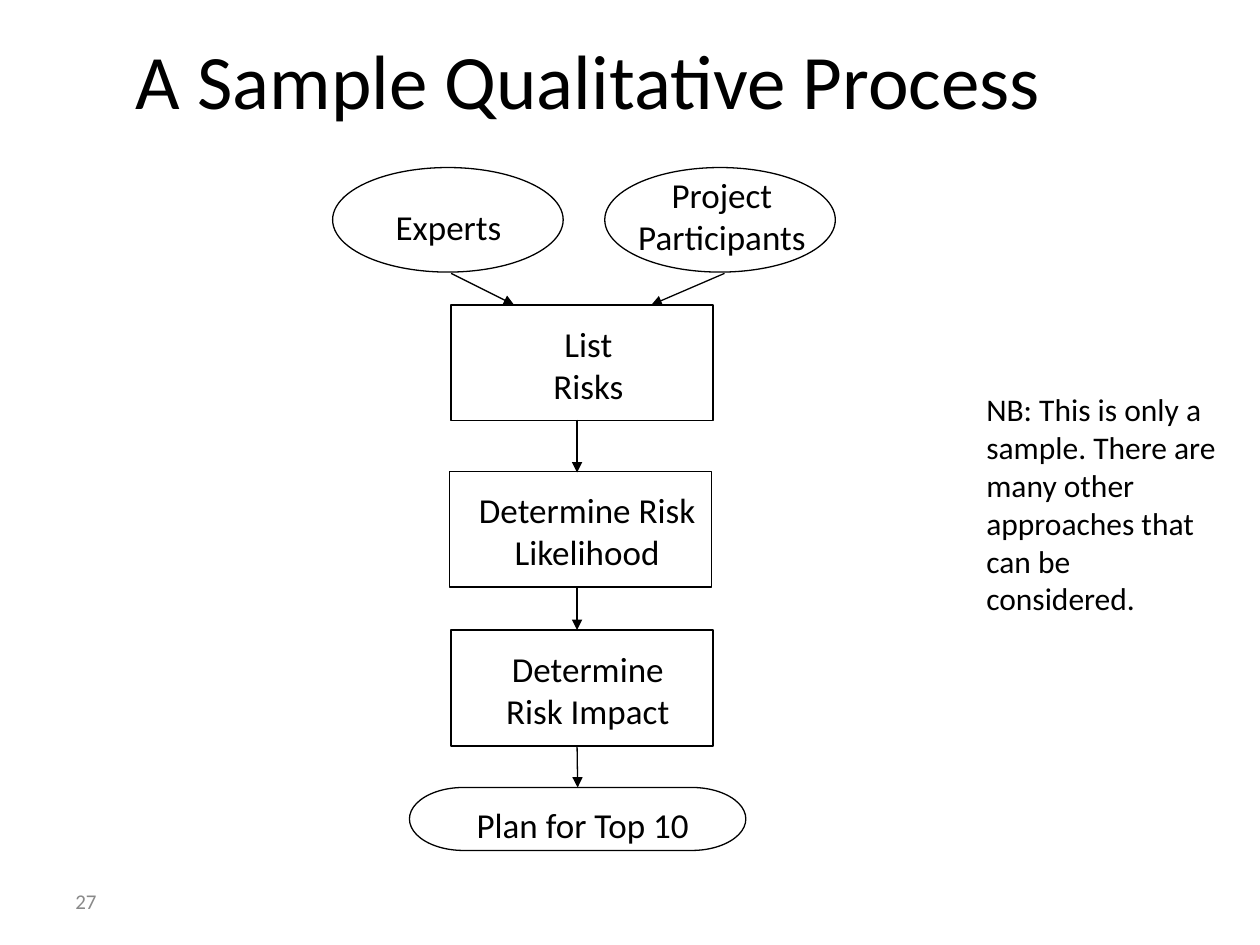
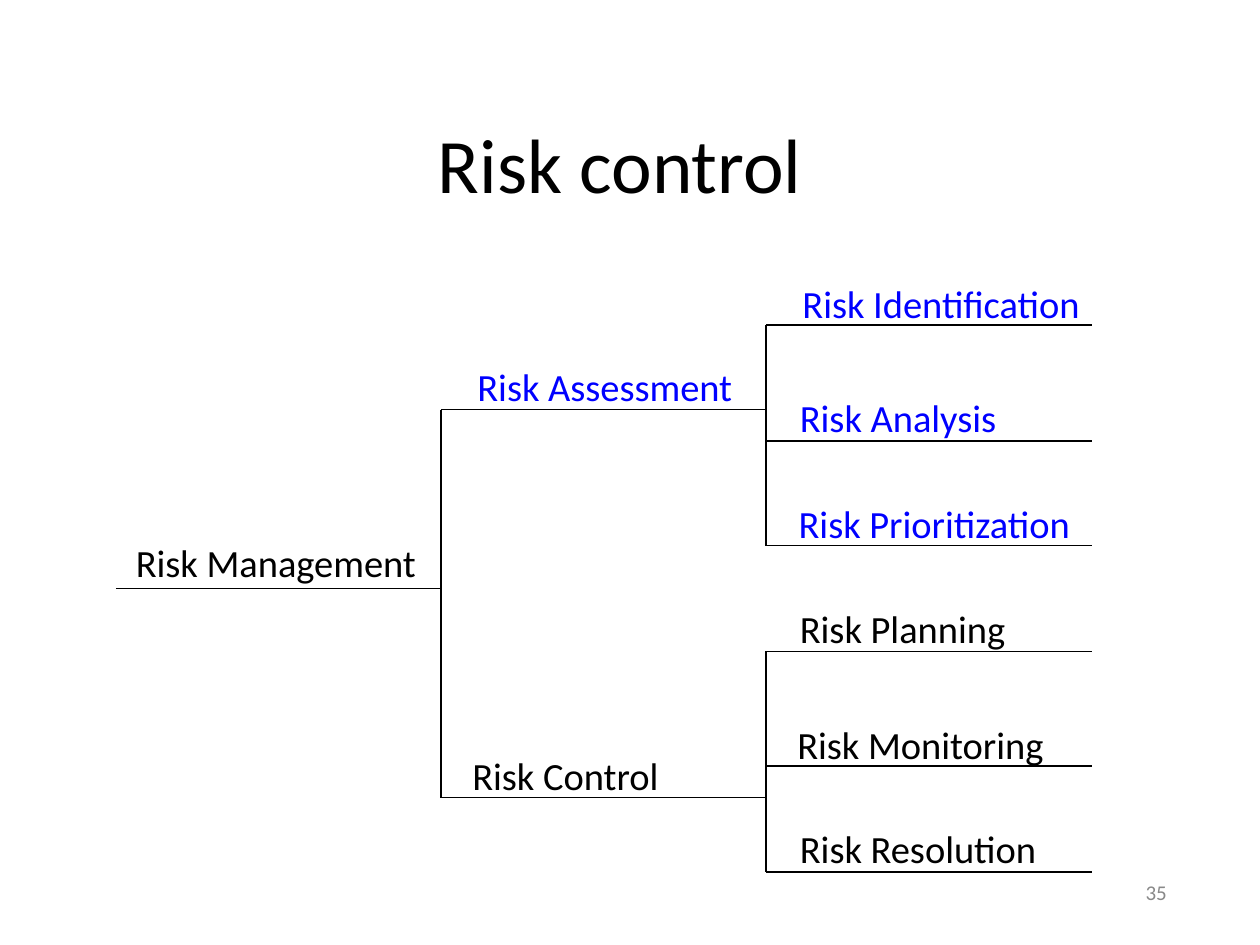
"""Builds two risk management slides: a process flow and a hierarchy tree."""
from lxml import etree
from pptx import Presentation
from pptx.dml.color import RGBColor
from pptx.enum.shapes import MSO_CONNECTOR, MSO_SHAPE as SHAPE
from pptx.enum.text import MSO_ANCHOR as ANCHOR, MSO_AUTO_SIZE, PP_ALIGN as ALIGN
from pptx.oxml.ns import qn
from pptx.util import Inches, Pt

COLORS = {"ink": "000000", "accent": "0000FF", "number": "898989"}
FONT = "Calibri"


def write(sp, text, size, color="ink", align=ALIGN.LEFT, anchor=ANCHOR.TOP, wrap=True):
    tf = sp.text_frame
    tf.text = text
    tf.word_wrap = wrap
    tf.auto_size = MSO_AUTO_SIZE.NONE
    tf.vertical_anchor = anchor
    for p in tf.paragraphs:
        p.alignment = align
        for r in p.runs:
            r.font.name = FONT
            r.font.size = Pt(size)
            r.font.color.rgb = RGBColor.from_string(COLORS[color])


def add_line(s, x1, y1, x2, y2, arrow=False):
    line = s.shapes.add_connector(MSO_CONNECTOR.STRAIGHT, *map(Inches, (x1, y1, x2, y2)))
    line.line.width = Pt(0.75)
    line.line.color.rgb = RGBColor.from_string(COLORS["ink"])
    if arrow:
        etree.SubElement(line.line._get_or_add_ln(), qn("a:tailEnd"), type="triangle")
    etree.SubElement(line._element.spPr, qn("a:effectLst"))
    return line


prs = Presentation()
prs.slide_width, prs.slide_height = Inches(10), Inches(7.5)

pages = [
    ("A Sample Qualitative Process", 0.42, 0, "27", 0.5, 6.95, ALIGN.LEFT),
    ("Risk control", 0.67, 0.67, "35", 7.03, 6.88, ALIGN.RIGHT),
]
for title, left, top, number, num_left, num_top, num_align in pages:
    s = prs.slides.add_slide(prs.slide_layouts[5])
    sp = s.shapes.title
    sp.left, sp.top, sp.width, sp.height = map(Inches, (left, top, 8.5, 1.25))
    write(sp, title, 44, align=ALIGN.CENTER, anchor=ANCHOR.MIDDLE)
    sp = s.shapes.add_textbox(*map(Inches, (num_left, num_top, 2.33, 0.4)))
    write(sp, number, 12, "number", num_align, ANCHOR.MIDDLE)

process, tree = prs.slides

steps = [
    (SHAPE.OVAL, (2.64, 1.33, 1.83, 0.83), "Experts", (3.04, 1.58, 1.04, 0.44)),
    (SHAPE.OVAL, (4.8, 1.33, 1.83, 0.83), "Project\nParticipants", (4.96, 1.33, 1.54, 0.77)),
    (SHAPE.RECTANGLE, (3.58, 2.42, 2.08, 0.92), "List\nRisks", (4.29, 2.51, 0.76, 0.77)),
    (SHAPE.RECTANGLE, (3.57, 3.74, 2.08, 0.92), "Determine Risk\nLikelihood", (3.7, 3.83, 1.92, 0.77)),
    (SHAPE.RECTANGLE, (3.58, 5, 2.08, 0.92), "Determine\nRisk Impact", (3.92, 5.09, 1.49, 0.77)),
    (SHAPE.FLOWCHART_TERMINATOR, (3.25, 6.25, 2.67, 0.5), "Plan for Top 10", (3.67, 6.33, 1.91, 0.44)),
]
for kind, box, label, label_box in steps:
    step = process.shapes.add_shape(kind, *map(Inches, box))
    step.shadow.inherit = False
    step.fill.background()
    step.line.width = Pt(0.75)
    step.line.color.rgb = RGBColor.from_string(COLORS["ink"])
    sp = process.shapes.add_textbox(*map(Inches, label_box))
    write(sp, label, 20, align=ALIGN.CENTER, wrap=False)

flow_x = 4.58
add_line(process, 3.58, 2.17, 4.08, 2.42, arrow=True)
add_line(process, 5.75, 2.17, 5.17, 2.42, arrow=True)
for y1, y2 in [(3.33, 3.75), (4.67, 5), (5.92, 6.25)]:
    arrow = add_line(process, flow_x, y1, flow_x, y2, arrow=True)
arrow.end_connect(step, 0)

sp = process.shapes.add_textbox(*map(Inches, (7.73, 3.05, 2.03, 1.9)))
write(sp, "NB: This is only a sample. There are many other approaches that can be considered.", 18)

level_x = [0.92, 3.5, 6.08, 8.67]
branches = [
    (0, 4.67, "Risk Management", "ink", 0.98, 4.23, 2.43),
    (1, 3.25, "Risk Assessment", "accent", 3.69, 2.83, 2.22),
    (1, 6.33, "Risk Control", "ink", 3.65, 5.92, 1.68),
    (2, 2.58, "Risk Identification", "accent", 6.27, 2.17, 2.41),
    (2, 3.5, "Risk Analysis", "accent", 6.25, 3.08, 1.76),
    (2, 4.33, "Risk Prioritization", "accent", 6.24, 3.92, 2.36),
    (2, 5.17, "Risk Planning", "ink", 6.25, 4.75, 1.83),
    (2, 6.08, "Risk Monitoring", "ink", 6.23, 5.67, 2.16),
    (2, 6.92, "Risk Resolution", "ink", 6.25, 6.5, 2.08),
]
for level, y, label, color, left, top, width in branches:
    add_line(tree, level_x[level], y, level_x[level + 1], y)
    sp = tree.shapes.add_textbox(*map(Inches, (left, top, width, 0.47)))
    write(sp, label, 22, color, wrap=False)
for level, y1, y2 in [(1, 3.25, 6.33), (2, 2.58, 4.33), (2, 5.17, 6.92)]:
    add_line(tree, level_x[level], y1, level_x[level], y2)

prs.save("out.pptx")
